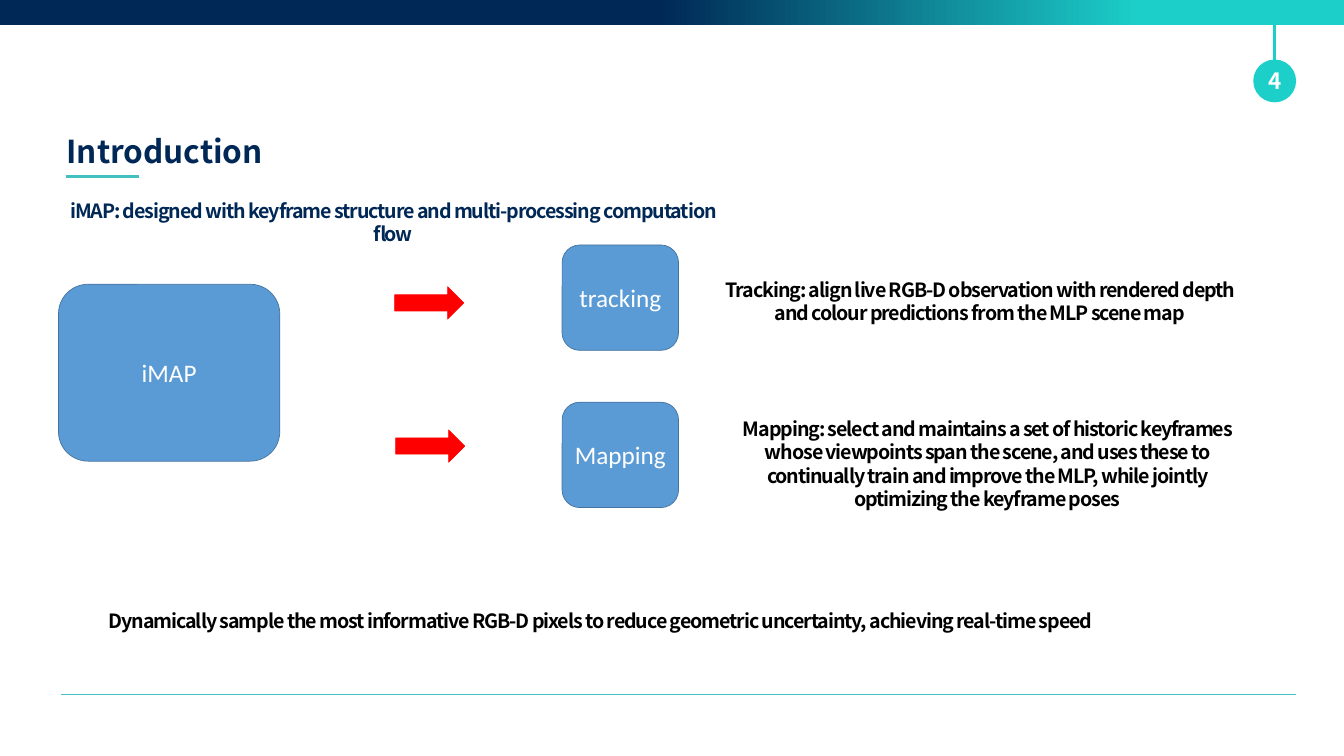
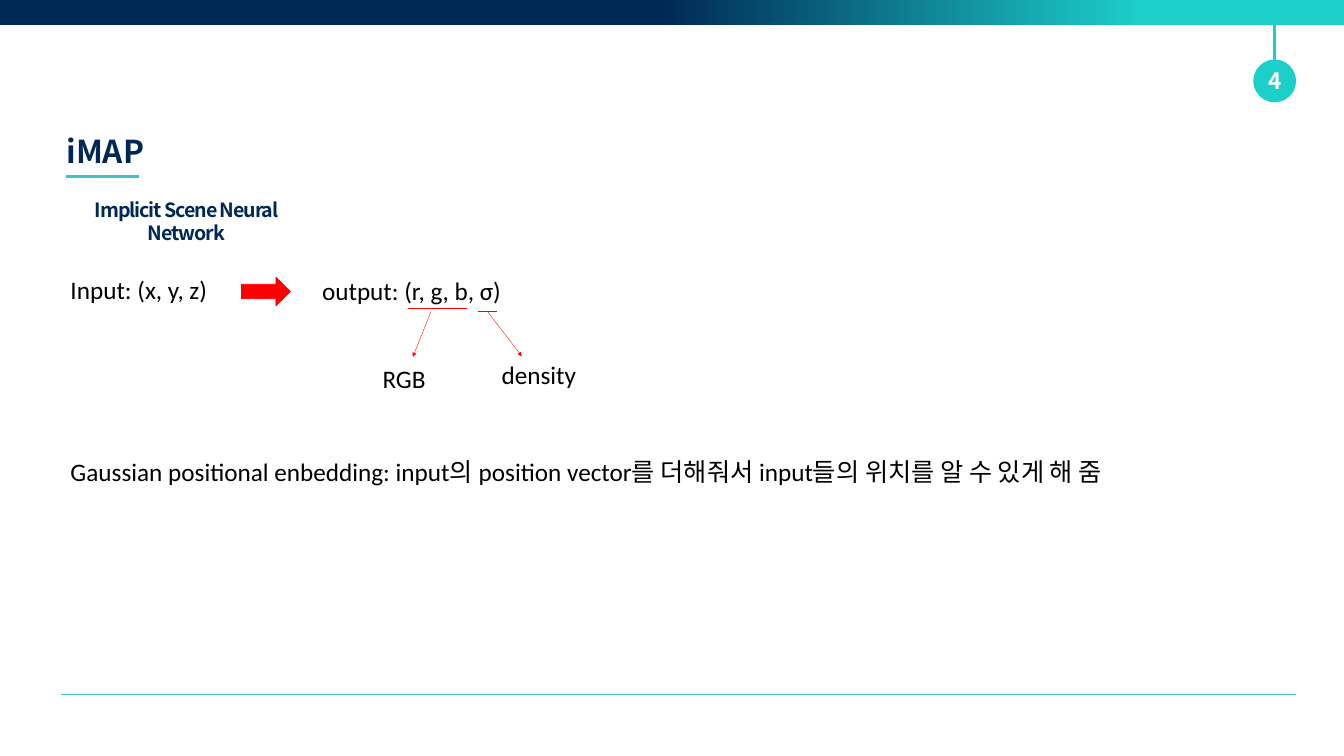
from lxml import etree
from pptx import Presentation
from pptx.dml.color import RGBColor
from pptx.enum import shapes, text
from pptx.oxml import ns
from pptx.util import Pt

NAVY = RGBColor(0x00, 0x28, 0x56)
TURQUOISE = RGBColor(0x1C, 0xCF, 0xC9)
TEAL = RGBColor(0x43, 0xC0, 0xC2)
BLUE = RGBColor(0x5B, 0x9B, 0xD5)
BLUE_EDGE = RGBColor(0x43, 0x73, 0x9E)
RED = RGBColor(0xFF, 0x00, 0x00)
BLACK = RGBColor(0x00, 0x00, 0x00)
WHITE = RGBColor(0xFF, 0xFF, 0xFF)
HEADING_FONT = "Noto Sans CJK KR"
BODY_FONT = "Calibri"
WIDTH, HEIGHT = 1919.52, 1080
LEFT, RIGHT = 87.84, 1851.12
CENTER = text.PP_ALIGN.CENTER
SHAPE = shapes.MSO_SHAPE


class Deck:
    """Hold the presentation, its style and the current slide."""

    def __init__(self):
        self.presentation = Presentation()
        self.presentation.slide_width = Pt(WIDTH)
        self.presentation.slide_height = Pt(HEIGHT)
        self.slide = None

    def new_slide(self, title, number):
        layout = self.presentation.slide_layouts[6]
        self.slide = self.presentation.slides.add_slide(layout)
        self.text(title, LEFT, 185, 442.8, 61.9, 45, NAVY, HEADING_FONT, bold=True)
        self.line((93.6, 252.7), (198.7, 252.7), TEAL, 4.5)
        self.line((LEFT, 992.2), (RIGHT, 992.2), TEAL, 0.5)
        band = self.shape(SHAPE.RECTANGLE, 0, 0, WIDTH, 35.3)
        band.fill.gradient()
        band.fill.gradient_angle = 0
        stops = zip(band.fill.gradient_stops, (0.49, 0.85), (NAVY, TURQUOISE))
        for stop, position, color in stops:
            stop.position = position
            stop.color.rgb = color
        stem = self.line((1820.2, 0), (1820.2, 115.2), TURQUOISE, 3.25)
        badge = self.shape(SHAPE.OVAL, 1789.9, 85, 61.2, 61.2, TURQUOISE)
        badge.text_frame.margin_left = badge.text_frame.margin_right = 0
        self.set_words(badge, number, 32, WHITE, HEADING_FONT, bold=True, align=CENTER)
        self.slide.shapes.add_group_shape([band, stem, badge])

    def set_words(self, shape, words, size, color, font, bold=False, align=None, spacing=None):
        shape.text_frame.text = words
        paragraph = shape.text_frame.paragraphs[0]
        paragraph.alignment = align
        run = paragraph.runs[0]
        run.font.name = font
        run.font.size = Pt(size)
        run.font.bold = bold
        run.font.color.rgb = color
        if spacing:
            run.font._element.set("spc", str(round(spacing * 100)))

    def text(self, words, left, top, width, height, size, color, font, **style):
        box = self.slide.shapes.add_textbox(Pt(left), Pt(top), Pt(width), Pt(height))
        box.text_frame.word_wrap = True
        box.text_frame.auto_size = text.MSO_AUTO_SIZE.SHAPE_TO_FIT_TEXT
        self.set_words(box, words, size, color, font, **style)

    def statement(self, words, left, top, width, height, color=BLACK):
        self.text(words, left, top, width, height, 28, color, HEADING_FONT,
                  bold=True, align=CENTER, spacing=-1.5)

    def label(self, words, left, top, width):
        self.text(words, left, top, width, 51.1, 36, BLACK, BODY_FONT)

    def shape(self, kind, left, top, width, height, fill=None, edge=None):
        shape = self.slide.shapes.add_shape(kind, Pt(left), Pt(top), Pt(width), Pt(height))
        shape.shadow.inherit = False
        if fill is not None:
            shape.fill.solid()
            shape.fill.fore_color.rgb = fill
        if edge is None:
            shape.line.fill.background()
        else:
            shape.line.color.rgb = edge
            shape.line.width = Pt(1)
        shape.text_frame.vertical_anchor = text.MSO_ANCHOR.MIDDLE
        return shape

    def block(self, words, left, top, width, height):
        block = self.shape(SHAPE.ROUNDED_RECTANGLE, left, top, width, height, BLUE, BLUE_EDGE)
        self.set_words(block, words, 36, WHITE, BODY_FONT, align=CENTER)

    def block_arrow(self, left, top, width, height):
        self.shape(SHAPE.RIGHT_ARROW, left, top, width, height, RED, RED)

    def line(self, start, end, color, weight, arrow=False):
        points = [Pt(value) for value in (*start, *end)]
        line = self.slide.shapes.add_connector(shapes.MSO_CONNECTOR.STRAIGHT, *points)
        line.line.color.rgb = color
        line.line.width = Pt(weight)
        if arrow:
            outline = line.line._get_or_add_ln()
            etree.SubElement(outline, ns.qn("a:tailEnd"), type="triangle")
        etree.SubElement(line._element.spPr, ns.qn("a:effectLst"))
        return line


def introduction(deck):
    deck.new_slide("Introduction", "4")
    deck.statement("iMAP: designed with keyframe structure and multi-processing computation flow",
                   LEFT, 280.1, 946.8, 41, NAVY)
    deck.block("iMAP", 83.5, 406.1, 316.1, 252.7)
    branches = [
        ("tracking", 350, (563.8, 409.7), (1019.5, 393.1, 759.6, 74.9),
         "Tracking: align live RGB-D observation with rendered depth and colour "
         "predictions from the MLP scene map"),
        ("Mapping", 574.6, (565.2, 614.2), (1030.3, 591.8, 759.6, 143.3),
         "Mapping: select and maintains a set of historic keyframes whose viewpoints "
         "span the scene, and uses these to continually train and improve the MLP, "
         "while jointly optimizing the keyframe poses"),
    ]
    for name, top, arrow, area, description in branches:
        deck.block_arrow(*arrow, 98.6, 46.1)
        deck.block(name, 802.8, top, 166.3, 150.5)
        deck.statement(description, *area)
    deck.statement("Dynamically sample the most informative RGB-D pixels to reduce geometric "
                   "uncertainty, achieving real-time speed", 146.2, 866.2, 1422.7, 41)


def network(deck):
    deck.new_slide("iMAP", "4")
    deck.statement("Implicit Scene Neural Network", LEFT, 278.6, 356.4, 41, NAVY)
    deck.label("Input: (x, y, z)", 93.6, 388.8, 219.6)
    deck.block_arrow(344.9, 396, 69.8, 41)
    deck.label("output: (r, g, b, σ)", 452.9, 389.5, 272.2)
    outputs = [
        ("density", (709.2, 509.8, 121.7), (683.3, 709.2, 444.2), (696.2, 445), (745.2, 509)),
        ("RGB", (539.3, 514.8, 77), (583.2, 667.4, 440.6), (615.6, 445), (589.7, 509.8)),
    ]
    for name, area, (first, last, height), start, end in outputs:
        deck.line((first, height), (last, height), RED, 0.5)
        deck.line(start, end, RED, 0.5, arrow=True)
        deck.label(name, *area)
    deck.label("Gaussian positional enbedding: input의 position vector를 더해줘서 "
               "input들의 위치를 알 수 있게 해 줌", 93.6, 648, 1543.7)


def main():
    deck = Deck()
    introduction(deck)
    network(deck)
    deck.presentation.save("out.pptx")


if __name__ == "__main__":
    main()
